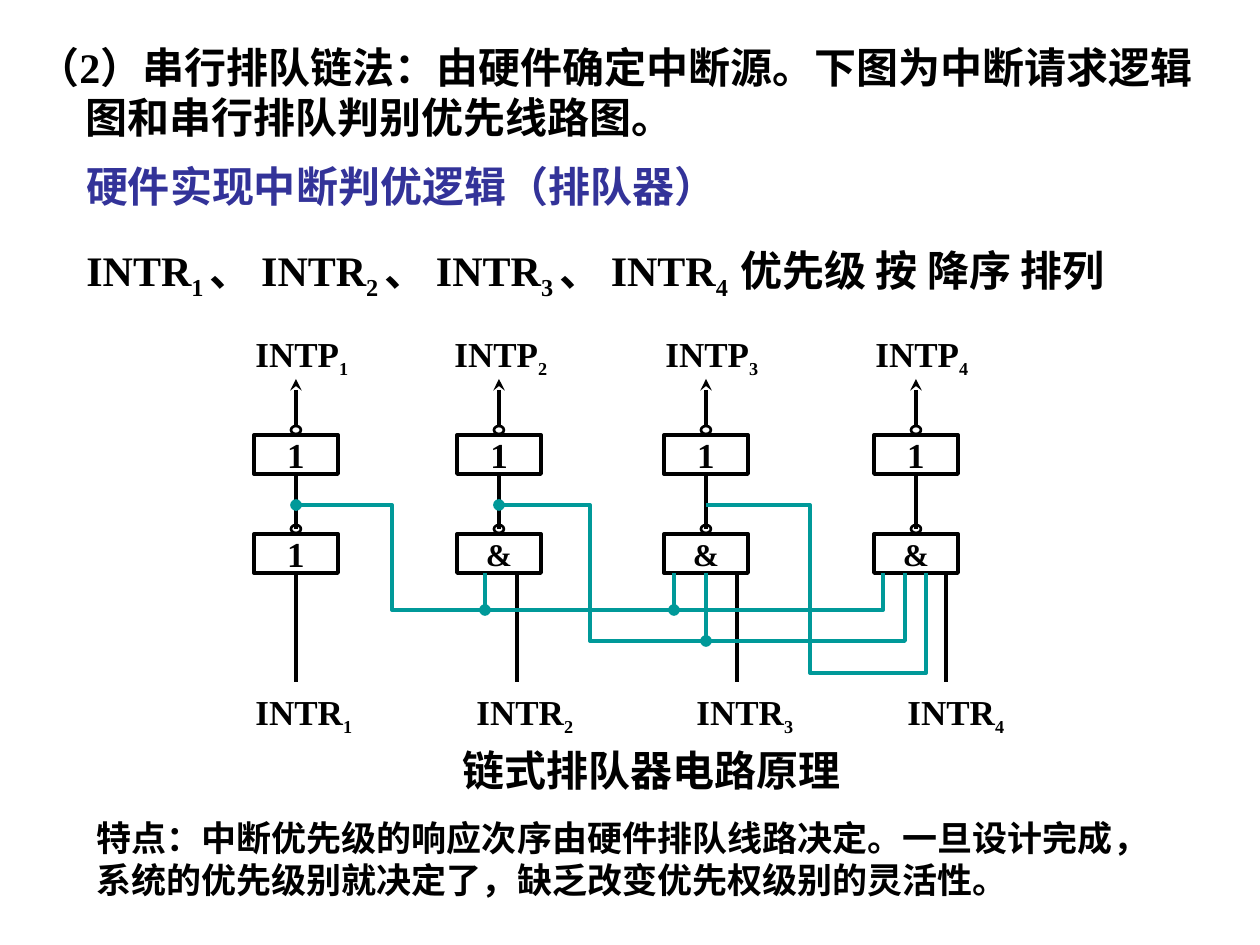
from lxml import etree
from pptx import Presentation
from pptx import util as u
from pptx.dml.color import RGBColor
from pptx.enum import shapes, text
from pptx.oxml.ns import qn

SCALE = 914400 / 126
BLACK, BLUE, TEAL = "000000", "333399", "009999"
SERIF, SANS = "Times New Roman", "Noto Sans CJK SC"
CENTERS = [296, 499, 706, 916]
INPUT_OFFSETS = [0, 18, 31, 30]
LOWER_SYMBOLS = ["1", "&", "&", "&"]
OUTPUT_LEFTS = [243, 442, 653, 863]
INPUT_LEFTS = [243, 464, 684, 895]
GATE_W, GATE_H, UPPER, LOWER = 84, 39, 435, 534
BOTTOM = LOWER + GATE_H
BRANCH = 505
WIRES = [
    (296, 392, 610, 883, [485, 674], True),
    (499, 590, 641, 905, [706], True),
    (706, 810, 673, 926, [], False),
]


def px(n):
    """Turn pixels into EMU."""
    return u.Emu(round(n * SCALE))


def color(value):
    """Turn a hex string into a colour."""
    return RGBColor.from_string(value)


def set_line(s, value, width=2.25, head=None, tail=None):
    """Style the outline of a shape or line, with optional end marks."""
    s.line.color.rgb = color(value)
    s.line.width = u.Pt(width)
    for tag, kind in (("a:headEnd", head), ("a:tailEnd", tail)):
        if kind:
            etree.SubElement(s.line._get_or_add_ln(), qn(tag), type=kind)


def add_runs(p, runs, size, font, value=BLACK):
    """Write (text, is_subscript, size) runs into a paragraph."""
    for content, subscript, run_size in runs:
        r = p.add_run()
        r.text = content
        style = {"size": u.Pt(run_size or size), "bold": True, "name": font}
        for name, setting in style.items():
            setattr(r.font, name, setting)
        r.font.color.rgb = color(value)
        if subscript:
            r._r.get_or_add_rPr().set("baseline", "-25000")


def add_text(slide, box, runs, size, font=SERIF, value=BLACK, hanging=0, **frame):
    """Add a wrapping text box."""
    tf = slide.shapes.add_textbox(*map(px, box)).text_frame
    tf.word_wrap = True
    for name, setting in frame.items():
        setattr(tf, name, setting)
    p = tf.paragraphs[0]
    if hanging:
        pPr = p._p.get_or_add_pPr()
        pPr.set("marL", str(px(hanging)))
        pPr.set("indent", str(px(-hanging)))
    add_runs(p, runs, size, font, value)
    return p


def add_label(slide, left, top, width, name, index):
    """Add a signal name with a subscript number."""
    runs = [(name, False, None), (str(index), True, 18)]
    add_text(slide, (left, top, width, 59), runs, 20)


def add_line(slide, start, end, value=BLACK, **marks):
    """Add a straight connector."""
    s = slide.shapes.add_connector(
        shapes.MSO_CONNECTOR.STRAIGHT, *map(px, (*start, *end)))
    set_line(s, value, **marks)
    etree.SubElement(s._element.spPr, qn("a:effectLst"))
    return s


def add_outline(slide, kind, box, width=2.25):
    """Add an unfilled preset shape."""
    s = slide.shapes.add_shape(kind, *map(px, box))
    s.shadow.inherit = False
    s.fill.background()
    set_line(s, BLACK, width)
    return s


def add_gate(slide, center, top, symbol):
    """Add a logic gate with its inverting bubble on top."""
    box = (center - GATE_W // 2, top, GATE_W, GATE_H)
    s = add_outline(slide, shapes.MSO_SHAPE.RECTANGLE, box)
    add_outline(slide, shapes.MSO_SHAPE.OVAL, (center - 5, top - 9, 10, 8), 1.5)
    tf = s.text_frame
    tf.vertical_anchor = text.MSO_ANCHOR.MIDDLE
    for side in ("left", "top", "right", "bottom"):
        setattr(tf, f"margin_{side}", 0)
    p = tf.paragraphs[0]
    p.alignment = text.PP_ALIGN.CENTER
    add_runs(p, [(symbol, False, None)], 20 if symbol == "1" else 18, SERIF)
    return s


def add_stage(slide, center, offset, symbol):
    """Add one column of the chain: two gates and their lines."""
    upper = add_gate(slide, center, UPPER, "1")
    lower = add_gate(slide, center, LOWER, symbol)
    add_line(slide, (center, UPPER - 8), (center, 379), tail="stealth")
    stem = add_line(slide, (center, UPPER + GATE_H), (center, LOWER - 5))
    stem.begin_connect(upper, 2)
    lead = add_line(slide, (center + offset, BOTTOM), (center + offset, 682))
    if not offset:
        lead.begin_connect(lower, 2)


def add_wire(slide, start, turn, level, end, taps, dotted):
    """Add a blocking wire and its taps to later gates."""
    path = slide.shapes.build_freeform(start, BRANCH, SCALE)
    path.add_line_segments(
        [(turn, BRANCH), (turn, level), (end, level), (end, BOTTOM)], close=False)
    s = path.convert_to_shape()
    s.shadow.inherit = False
    s.fill.background()
    set_line(s, TEAL, head="oval" if dotted else None)
    for x in taps:
        add_line(slide, (x, BOTTOM), (x, level), TEAL, tail="oval")


def add_texts(slide):
    """Add the heading, the subheadings, the caption and the remark."""
    middle = {"vertical_anchor": text.MSO_ANCHOR.MIDDLE,
              "margin_left": 0, "margin_right": 0}
    add_text(slide, (25, 35, 1201, 124),
             [("（2）串行排队链法：由硬件确定中断源。下图为中断请求逻辑图和串行排队判别优先线路图。",
               False, None)], 24, hanging=48)
    add_text(slide, (86, 149, 851, 73),
             [("硬件实现中断判优逻辑（排队器）", False, None)], 24, SANS, BLUE, **middle)
    order = [("INTR", False, None)]
    for i in (1, 2, 3):
        order += [(f"{i} ", True, None), ("、 INTR", False, None)]
    order += [("4  ", True, None), ("优先级 按 降序 排列", False, None)]
    add_text(slide, (74, 238, 1121, 80), order, 24)
    caption = add_text(slide, (131, 733, 1040, 73),
                       [("链式排队器电路原理", False, None)], 24, SANS, **middle)
    caption.alignment = text.PP_ALIGN.CENTER
    add_text(slide, (84, 810, 1091, 97),
             [("特点：中断优先级的响应次序由硬件排队线路决定。一旦设计完成，"
               "系统的优先级别就决定了，缺乏改变优先权级别的灵活性。", False, None)], 20, SANS)


def main():
    """Build the slide."""
    prs = Presentation()
    prs.slide_width, prs.slide_height = px(1260), px(945)
    slide = prs.slides.add_slide(prs.slide_layouts[6])
    add_texts(slide)
    for stage in zip(CENTERS, INPUT_OFFSETS, LOWER_SYMBOLS):
        add_stage(slide, *stage)
    for wire in WIRES:
        add_wire(slide, *wire)
    for i, (out_left, in_left) in enumerate(zip(OUTPUT_LEFTS, INPUT_LEFTS), 1):
        add_label(slide, out_left, 326, 147, "INTP", i)
        add_label(slide, in_left, 684, 210, "INTR", i)
    prs.save("out.pptx")


if __name__ == "__main__":
    main()
